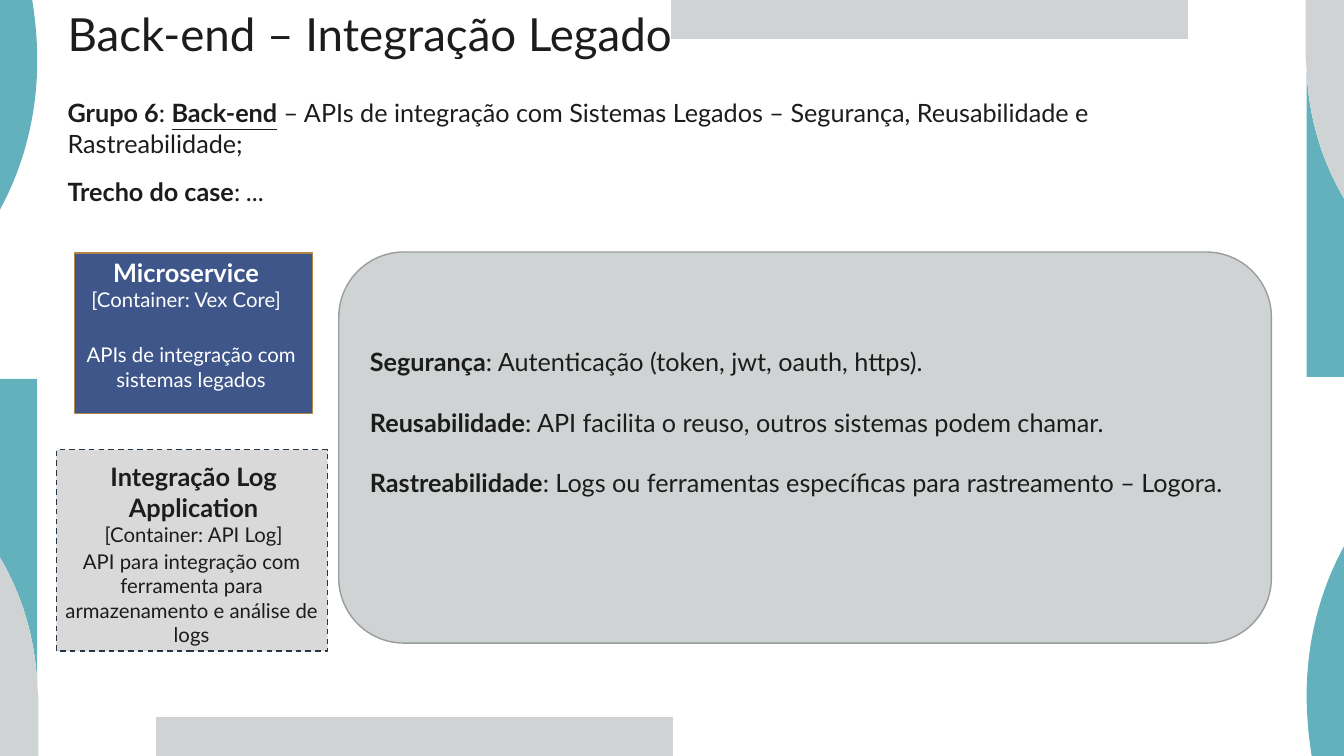
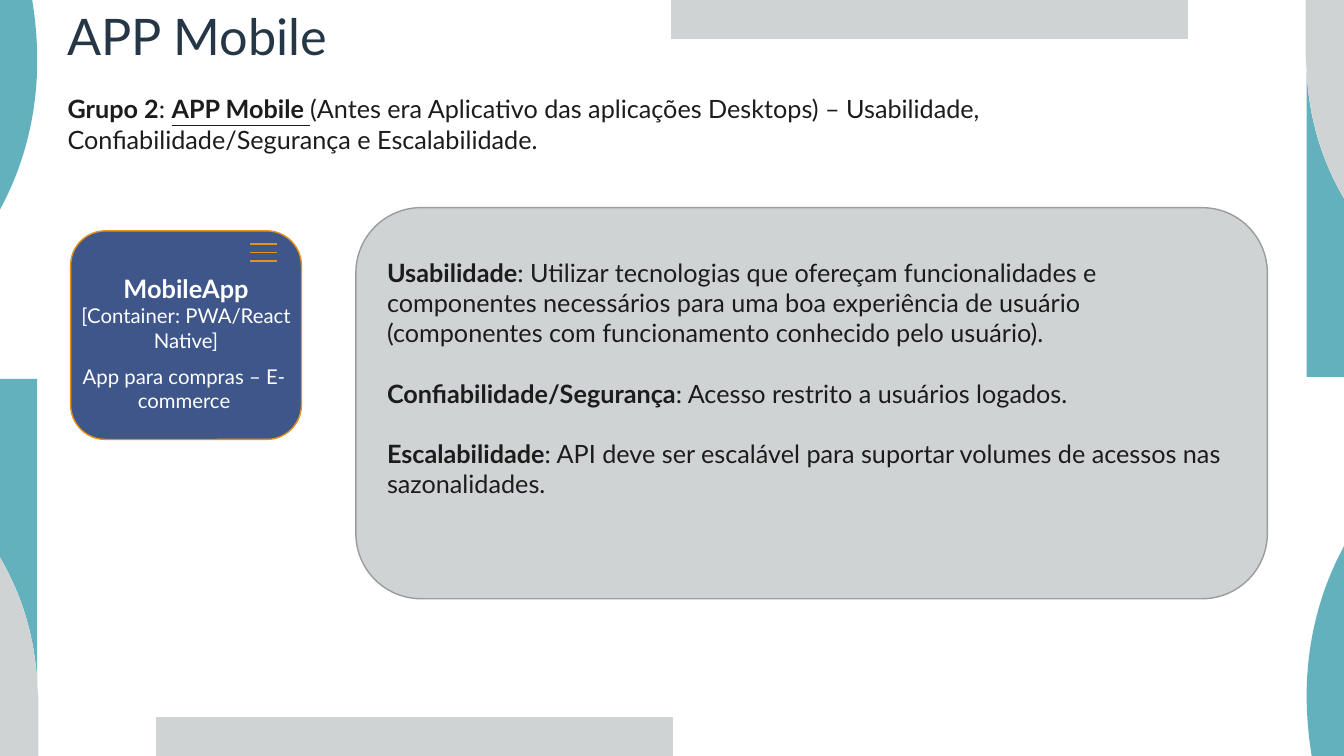
import pptx
import pptx.dml.color
import pptx.enum.dml
import pptx.enum.shapes
import pptx.enum.text
import pptx.oxml.ns
import pptx.util
from lxml import etree
from pptx.util import Inches

WIDTH, HEIGHT = 13.33, 7.5
FONT = "Lato"
COLORS = {
    "teal": "63B1BC", "gray": "D0D3D4", "edge": "9A9C9D", "ink": "1C1C1C",
    "navy": "253746", "blue": "3F568B", "white": "FFFFFF", "light": "D9D9D9",
    "bronze": "B18748", "orange": "E59217",
}
SHAPES = pptx.enum.shapes.MSO_SHAPE
ALIGN = pptx.enum.text.PP_ALIGN
ANCHOR = pptx.enum.text.MSO_ANCHOR


def color(name):
    return pptx.dml.color.RGBColor.from_string(COLORS[name])


def paint(shape, fill, line=None):
    shape.shadow.inherit = False
    shape.fill.solid()
    shape.fill.fore_color.rgb = color(fill)
    if line:
        shape.line.color.rgb = color(line)
        shape.line.width = pptx.util.Pt(1)
    else:
        shape.line.fill.background()


def place(shape, left, top, width, height):
    shape.left, shape.top = Inches(left), Inches(top)
    shape.width, shape.height = Inches(width), Inches(height)


def write(frame, paragraphs, size, ink="ink", align=ALIGN.LEFT, gap=0):
    """Fill a frame; each paragraph is a list of (text, marks), marks from "biu"."""
    frame.word_wrap = True
    frame.auto_size = pptx.enum.text.MSO_AUTO_SIZE.NONE
    frame.vertical_anchor = ANCHOR.TOP
    for index, spans in enumerate(paragraphs):
        para = frame.add_paragraph() if index else frame.paragraphs[0]
        para.alignment = align
        para.space_before = pptx.util.Pt(gap if index else 0)
        para.font.name = FONT
        para.font.size = pptx.util.Pt(size)
        para.font.color.rgb = color(ink)
        for text, marks in spans:
            span = para.add_run()
            span.text = text
            span.font.bold = "b" in marks
            span.font.italic = "i" in marks
            span.font.underline = "u" in marks


def remove_bullets(frame):
    for para in frame.paragraphs:
        properties = para._p.get_or_add_pPr()
        properties.set("marL", "0")
        properties.set("indent", "0")
        bullet = etree.Element(pptx.oxml.ns.qn("a:buNone"))
        properties.find(pptx.oxml.ns.qn("a:defRPr")).addprevious(bullet)


def curve(start, *controls, steps=16):
    """Points on a cubic Bezier curve, after its start."""
    points = (start, *controls)
    weights = (1, 3, 3, 1)
    return [
        tuple(
            sum(w * (1 - t) ** (3 - k) * t ** k * p[axis]
                for k, (w, p) in enumerate(zip(weights, points)))
            for axis in (0, 1)
        )
        for t in (step / steps for step in range(1, steps + 1))
    ]


def decorate(layout, page):
    """Put the side arcs and bars on the layout, each with its half-turn twin."""
    outlines = [
        ("teal", [(0.32, 0), (0, 0), (0, 2.08),
                  *curve((0, 2.08), (0.24, 1.64), (0.37, 1.13), (0.37, 0.6)),
                  *curve((0.37, 0.6), (0.37, 0.39), (0.35, 0.19), (0.32, 0))]),
        ("gray", [(1.55, 7.11), (6.67, 7.11), (6.67, 7.5), (1.55, 7.5)]),
        ("teal", [(0.37, 6.79), (0.37, 3.76), (0, 3.76), (0, 5.53),
                  *curve((0, 5.53), (0.22, 5.9), (0.35, 6.33), (0.37, 6.79))]),
        ("gray", [(0, 5.53), (0, 7.5), (0.38, 7.5), (0.38, 6.92), (0.37, 6.79),
                  *curve((0.37, 6.79), (0.35, 6.34), (0.22, 5.91), (0, 5.53))]),
    ]
    for fill, points in outlines:
        twin = [(WIDTH - x, HEIGHT - y) for x, y in points]
        for outline in (points, twin):
            corners = [(Inches(x), Inches(y)) for x, y in outline]
            builder = page.shapes.build_freeform(*corners[0])
            builder.add_line_segments(corners[1:], close=True)
            shape = builder.convert_to_shape()
            paint(shape, fill)
            layout.shapes.element.append(shape.element)


def add_page(deck, layout, title, size, ink, intro, intro_top):
    page = deck.slides.add_slide(layout)
    heading = page.shapes.title
    place(heading, 0.57, 0.07, 11.88, 0.76)
    write(heading.text_frame, [[(title, "")]], size, ink)
    heading.text_frame.paragraphs[0].line_spacing = 0.9
    body = page.placeholders[1]
    place(body, 0.57, intro_top, 10.9, 1.2)
    write(body.text_frame, intro, 18, gap=13)
    remove_bullets(body.text_frame)
    return page


def add_panel(page, box, text_top, qualities):
    panel = page.shapes.add_shape(SHAPES.ROUNDED_RECTANGLE, *map(Inches, box))
    paint(panel, "gray", "edge")
    frame = panel.text_frame
    frame.margin_left, frame.margin_right = Inches(0.12), Inches(0.07)
    frame.margin_top = Inches(text_top)
    paragraphs = [[(name, "b"), (": " + text, "")] for name, text in qualities]
    write(frame, paragraphs, 18, gap=21.6)


def add_card(page, box, kind, fill, line, ink, heading, container, note,
             heading_at, note_at):
    """Group a box with its two texts, each at (left, top, width) inside the box."""
    left, top, width, height = box
    group = page.shapes.add_group_shape()
    base = group.shapes.add_shape(kind, *map(Inches, box))
    paint(base, fill, line)
    for (dx, dy, text_width), lines in (
        (heading_at, [(heading, "b", 18.1), (container, "", 14.5)]),
        (note_at, [(note, "", 14.5)]),
    ):
        label = group.shapes.add_textbox(
            Inches(left + dx), Inches(top + dy), Inches(text_width), Inches(0.6))
        write(label.text_frame, [[(text, marks)] for text, marks, _ in lines],
              14.5, ink, ALIGN.CENTER)
        for para, (_, _, size) in zip(label.text_frame.paragraphs, lines):
            para.font.size = pptx.util.Pt(size)
    return group, base


def add_menu_icon(group, left, top):
    for row in range(3):
        y = Inches(top + row * 0.085)
        stroke = group.shapes.add_connector(
            pptx.enum.shapes.MSO_CONNECTOR.STRAIGHT,
            Inches(left), y, Inches(left + 0.27), y)
        stroke.line.color.rgb = color("orange")
        stroke.line.width = pptx.util.Pt(1)
        etree.SubElement(stroke.element.spPr, pptx.oxml.ns.qn("a:effectLst"))


def build_backend(deck, layout):
    page = add_page(deck, layout, "Back-end – Integração Legado", 32.6, "ink", [
        [("Grupo 6", "b"), (": ", ""), ("Back-end", "bu"),
         (" – APIs de integração com Sistemas Legados – Segurança, "
          "Reusabilidade e Rastreabilidade;", "")],
        [("Trecho do case", "b"), (": ", ""), ("...", "i")],
    ], 0.92)
    add_panel(page, (3.36, 2.5, 9.25, 3.88), 0.75, [
        ("Segurança", "Autenticação (token, jwt, oauth, https)."),
        ("Reusabilidade", "API facilita o reuso, outros sistemas podem chamar."),
        ("Rastreabilidade",
         "Logs ou ferramentas específicas para rastreamento – Logora."),
    ])
    add_card(page, (0.74, 2.51, 2.36, 1.59), SHAPES.RECTANGLE,
             "blue", "bronze", "white",
             "Microservice", "[Container: Vex Core]",
             "APIs de integração com sistemas legados",
             (-0.17, -0.01, 2.55), (0.01, 0.84, 2.29))
    _, log_box = add_card(
        page, (0.56, 4.46, 2.69, 2), SHAPES.RECTANGLE, "light", "navy", "ink",
        "Integração Log Application", "[Container: API Log]",
        "API para integração com ferramenta para armazenamento e análise de logs",
        (-0.09, 0.07, 2.9), (-0.11, 0.94, 2.9))
    log_box.line.dash_style = pptx.enum.dml.MSO_LINE_DASH_STYLE.DASH
    return page


def build_mobile(deck, layout):
    page = add_page(deck, layout, "APP Mobile", 36, "navy", [
        [("Grupo 2", "b"), (": ", ""), ("APP Mobile ", "bu"),
         ("(Antes era Aplicativo das aplicações Desktops) – Usabilidade, "
          "Confiabilidade/Segurança e Escalabilidade.", "")],
    ], 0.88)
    add_panel(page, (3.53, 2.06, 9.04, 3.88), 0.3, [
        ("Usabilidade",
         "Utilizar tecnologias que ofereçam funcionalidades e componentes "
         "necessários para uma boa experiência de usuário (componentes com "
         "funcionamento conhecido pelo usuário)."),
        ("Confiabilidade/Segurança", "Acesso restrito a usuários logados."),
        ("Escalabilidade",
         "API deve ser escalável para suportar volumes de acessos nas "
         "sazonalidades."),
    ])
    group, _ = add_card(
        page, (0.7, 2.29, 2.29, 2.07), SHAPES.ROUNDED_RECTANGLE,
        "blue", "orange", "white",
        "MobileApp", "[Container: PWA/React Native]",
        "App para compras – E-commerce",
        (-0.13, 0.37, 2.55), (-0.02, 1.27, 2.29))
    add_menu_icon(group, 2.48, 2.42)


def main():
    deck = pptx.Presentation()
    deck.slide_width, deck.slide_height = Inches(WIDTH), Inches(HEIGHT)
    layout = deck.slide_layouts.get_by_name("Title and Content")
    page = build_backend(deck, layout)
    decorate(layout, page)
    build_mobile(deck, layout)
    deck.save("out.pptx")


if __name__ == "__main__":
    main()
